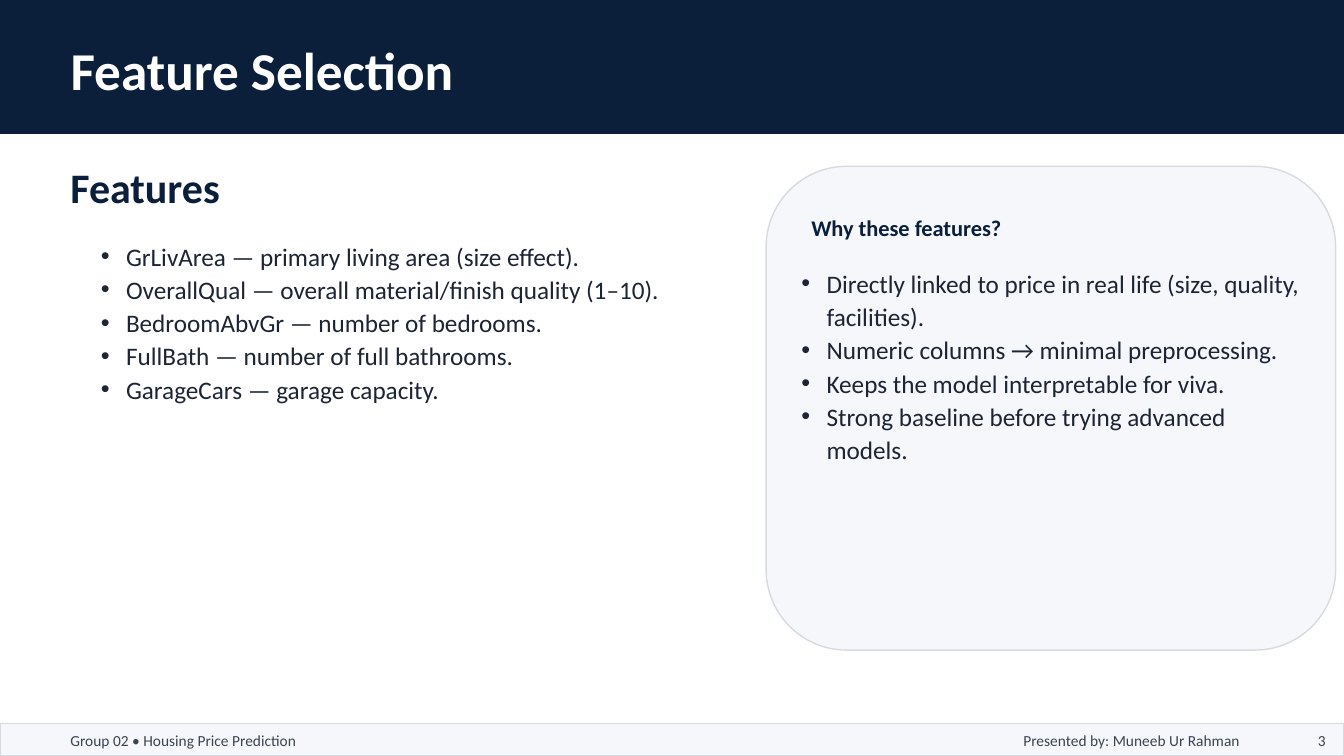
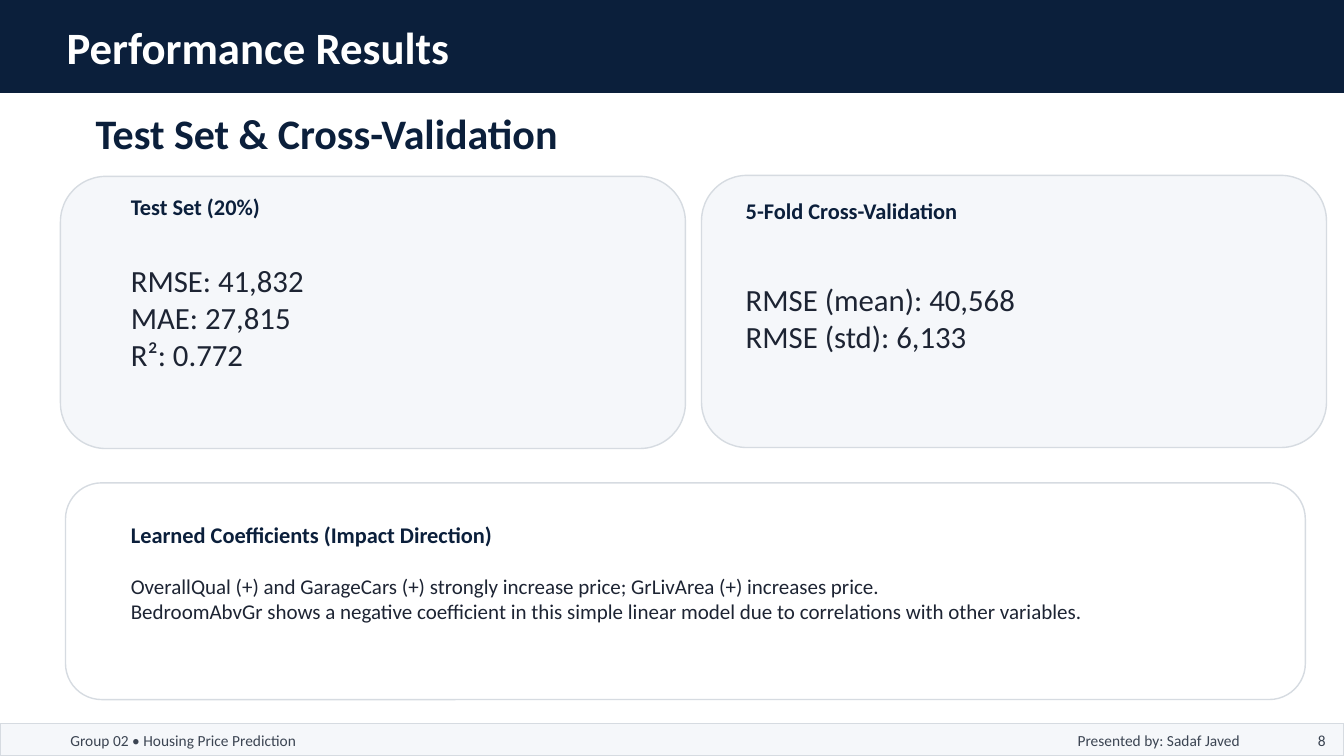
from pptx import Presentation
from pptx.dml.color import RGBColor
from pptx.enum.shapes import MSO_SHAPE as Shape
from pptx.enum.text import MSO_ANCHOR as Anchor, MSO_AUTO_SIZE as Auto, PP_ALIGN as Align
from pptx.util import Inches, Pt
from lxml.etree import SubElement

NAVY, INK, GREY = "0B1F3B", "1D2433", "3B4452"
PALE, EDGE, WHITE = "F5F7FA", "D6DBE1", "FFFFFF"
rgb = RGBColor.from_string

# The grid has ten columns and ten rows to the inch.
CELL = Inches(0.1)
COLS, ROWS = 133.33, 75

deck = Presentation()
deck.slide_width, deck.slide_height = int(COLS * CELL), ROWS * CELL


def panel(slide, kind, grid, fill, edge):
    """Draw a filled shape; grid is left, top, width and height in cells."""
    shape = slide.shapes.add_shape(kind, *(int(n * CELL) for n in grid))
    shape.shadow.inherit = False
    shape.fill.solid()
    shape.fill.fore_color.rgb = rgb(fill)
    shape.line.color.rgb = rgb(edge)
    shape.line.width = Pt(1)


def write(slide, text, grid, size, color, bold=False, align=Align.LEFT,
          anchor=Anchor.MIDDLE, bullet=None, spacing=1.0, holder=None):
    """Fill a text box, or the placeholder given as holder, and bring it to the front."""
    place = [int(n * CELL) for n in grid]
    box = holder or slide.shapes.add_textbox(*place)
    box.left, box.top, box.width, box.height = place
    box.element.getparent().append(box.element)
    frame = box.text_frame
    frame.text = text
    frame.word_wrap = True
    frame.auto_size = Auto.NONE
    frame.vertical_anchor = anchor
    for para in frame.paragraphs:
        para.alignment = align
        para.line_spacing = spacing
        para.space_before = Pt(0)
        if bullet:
            props = para._p.get_or_add_pPr()
            props.set("marL", str(Inches(0.25)))
            props.set("indent", str(-Inches(0.25)))
            SubElement(props, props.tag.replace("pPr", "buChar"), char=bullet)
        for run in para.runs:
            font = run.font
            font.name, font.size, font.bold = "Calibri", Pt(size), bold
            font.color.rgb = rgb(color)


# Shared frame: layout, band, title, heading and footer
frames = [
    (3, (0, -0.3, COLS, 13.5), "Feature Selection", (6, 5.1, 122, 3.5), 38,
     "Features", (6, 15.5, 118, 6), "Muneeb Ur Rahman", "3"),
    (5, (0, 0, COLS, 9.2), "Performance Results", (5.6, 2.9, 122, 3.5), 32,
     "Test Set & Cross-Validation", (8.5, 10.2, 118, 6), "Sadaf Javed", "8"),
]
for layout, band, title, spot, size, head, below, name, page in frames:
    slide = deck.slides.add_slide(deck.slide_layouts[layout])
    panel(slide, Shape.RECTANGLE, band, NAVY, NAVY)
    write(slide, title, spot, size, WHITE, bold=True, holder=slide.shapes.title)
    write(slide, head, below, 30, NAVY, bold=True)
    panel(slide, Shape.RECTANGLE, (0, 71.8, COLS, 3.2), PALE, EDGE)
    for text, left, width, align in [
        ("Group 02 • Housing Price Prediction", 6, 82, Align.LEFT),
        (f"Presented by: {name}", 82, 42, Align.RIGHT),
        (page, 126.5, 6, Align.RIGHT),
    ]:
        write(slide, text, (left, 72.2, width, 2.5), 11, GREY, align=align)

choice, result = deck.slides

# Feature Selection: two lists, the right one on a card
panel(choice, Shape.ROUNDED_RECTANGLE, (76, 16.5, 56.5, 48), PALE, EDGE)
write(choice, "Why these features?", (79.5, 21.1, 50, 3), 16, NAVY, bold=True)
lists = [
    (1, (9, 23.1, 64, 40), [
        "GrLivArea — primary living area (size effect).",
        "OverallQual — overall material/finish quality (1–10).",
        "BedroomAbvGr — number of bedrooms.",
        "FullBath — number of full bathrooms.",
        "GarageCars — garage capacity.",
    ]),
    (2, (78.5, 25.8, 52, 34.8), [
        "Directly linked to price in real life (size, quality, facilities).",
        "Numeric columns → minimal preprocessing.",
        "Keeps the model interpretable for viva.",
        "Strong baseline before trying advanced models.",
    ]),
]
for index, grid, items in lists:
    write(choice, "\n".join(items), grid, 18, INK, anchor=Anchor.TOP, bullet="•",
          spacing=1.1, holder=choice.placeholders[index])

# Performance Results: three cards, each with a label and its text
cards = [
    ((6, 17.5, 62, 27), PALE, "Test Set (20%)", (12, 19, 56, 3),
     ["RMSE: 41,832", "MAE: 27,815", "R²: 0.772"], (12, 23.5, 56, 16), 22),
    ((69.6, 17.4, 62, 27), PALE, "5-Fold Cross-Validation", (73, 19.4, 56, 3),
     ["RMSE (mean): 40,568", "RMSE (std): 6,133"], (73, 23.5, 56, 16), 22),
    ((6.5, 47.9, 123, 21.5), WHITE, "Learned Coefficients (Impact Direction)",
     (12, 51.5, 120, 3),
     ["OverallQual (+) and GarageCars (+) strongly increase price; "
      "GrLivArea (+) increases price.",
      "BedroomAbvGr shows a negative coefficient in this simple linear model "
      "due to correlations with other variables."], (12, 52.9, 120, 13), 15),
]
for card, fill, label, top, lines, grid, size in cards:
    panel(result, Shape.ROUNDED_RECTANGLE, card, fill, EDGE)
    write(result, label, top, 16, NAVY, bold=True)
    write(result, "\n".join(lines), grid, size, INK)

deck.save("out.pptx")
